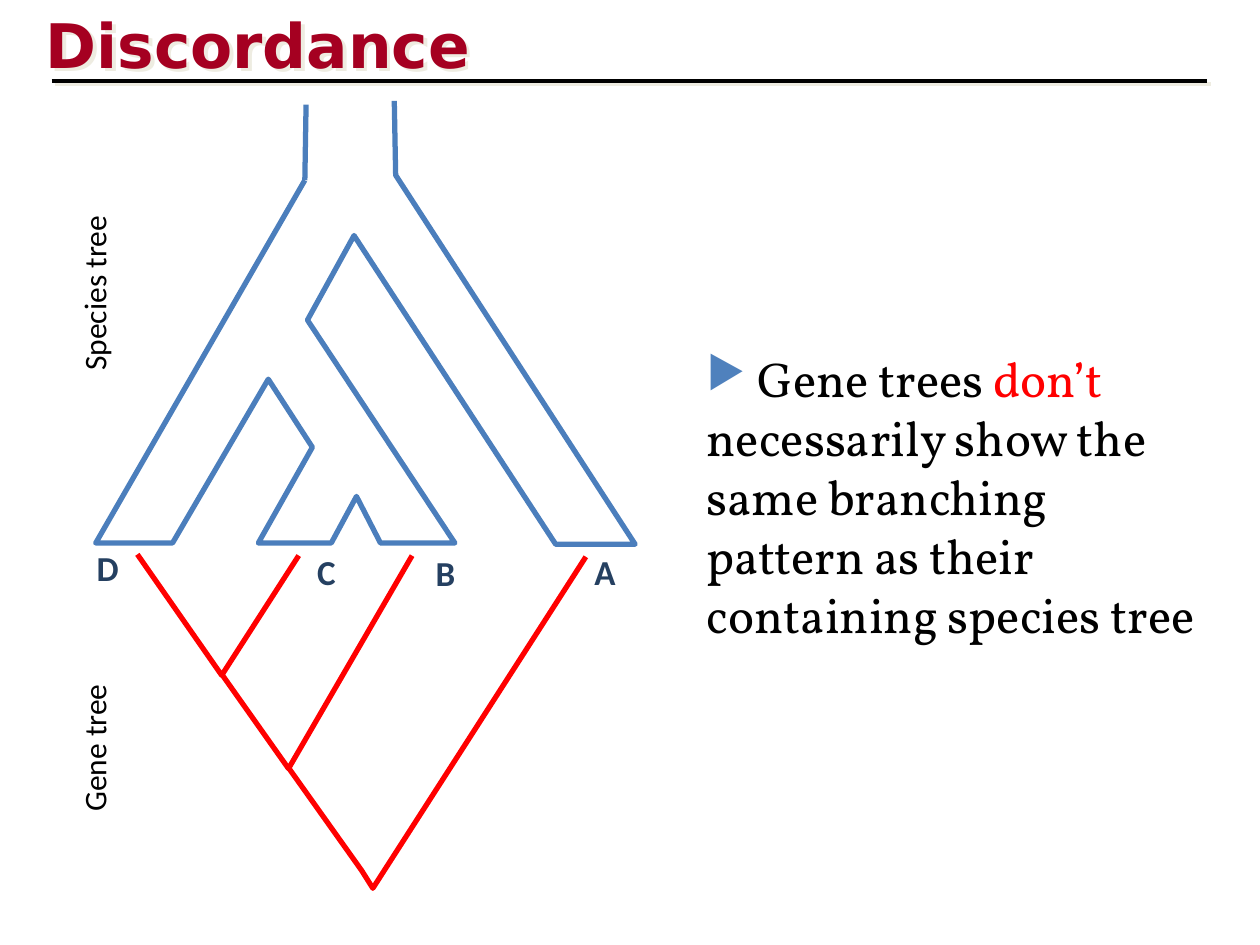
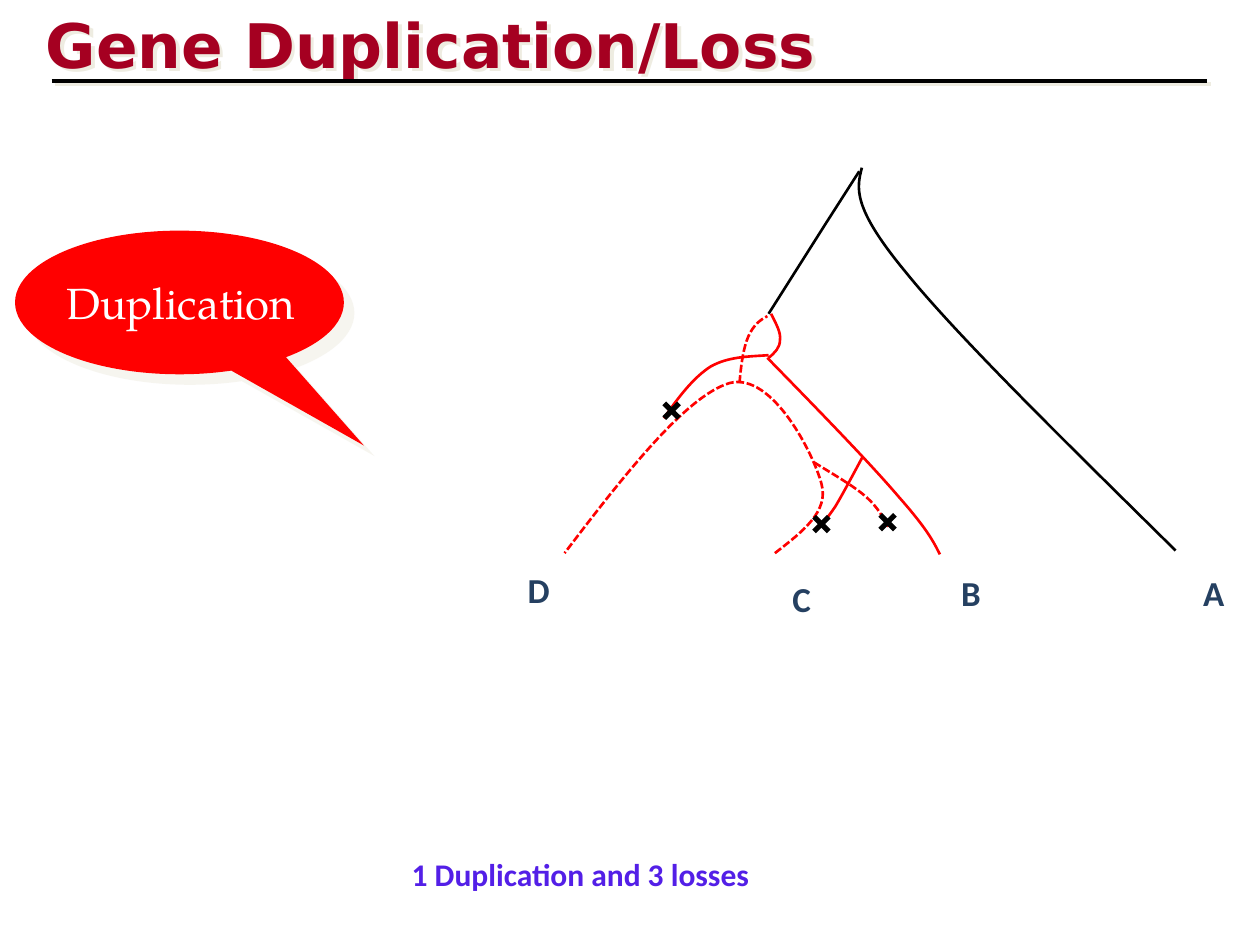
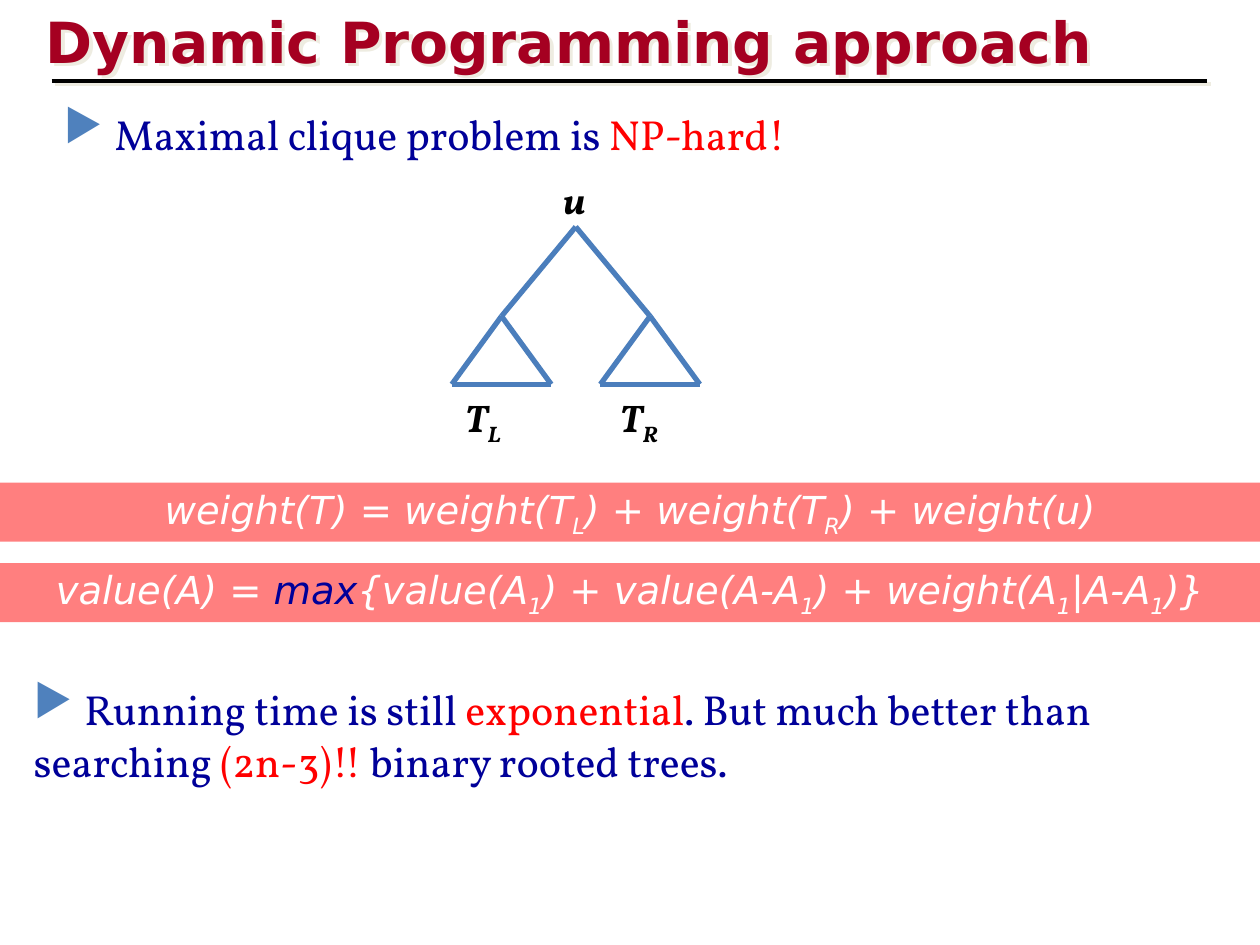
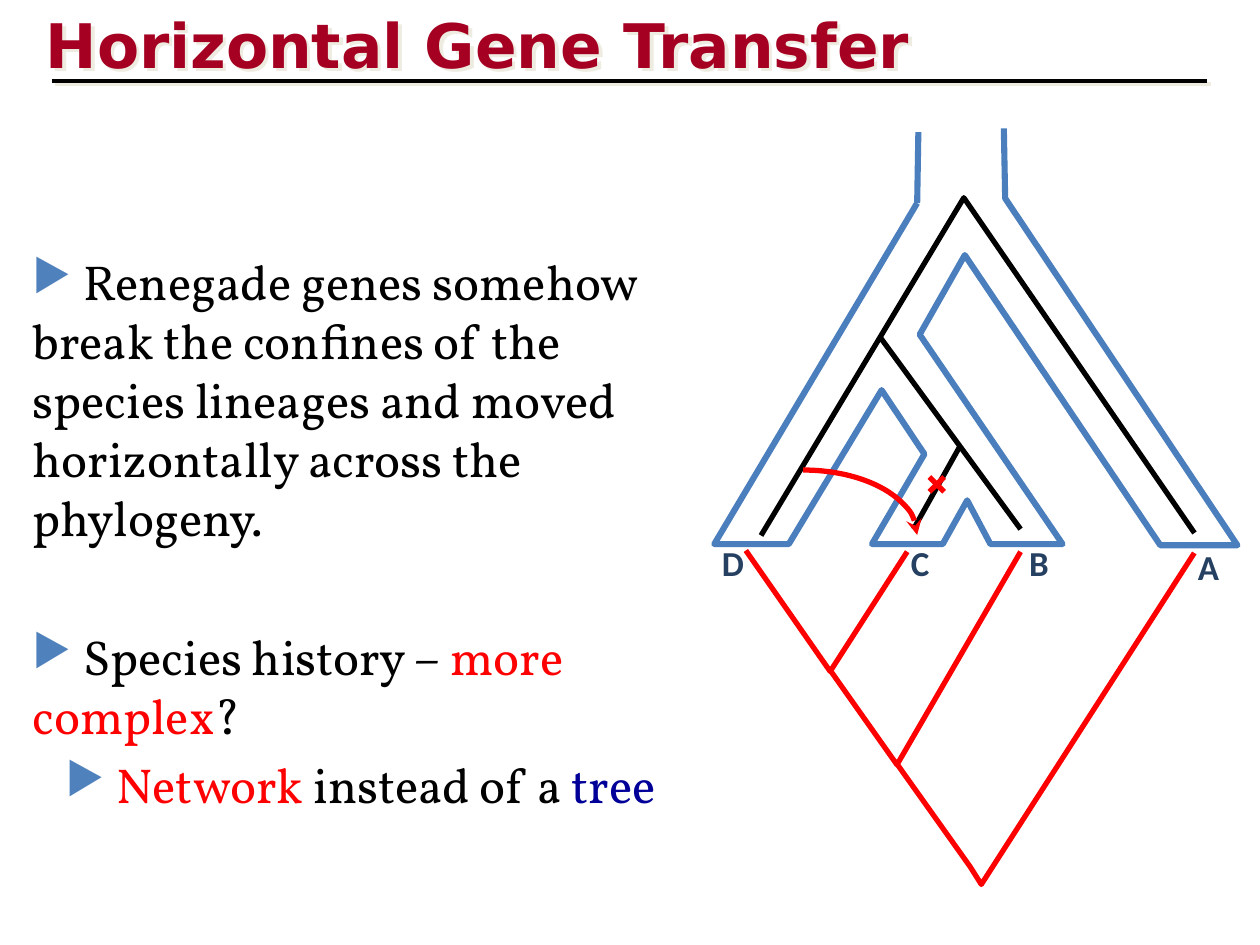
from lxml.etree import Element, SubElement
from pptx import Presentation
from pptx.dml.color import RGBColor as RGB
from pptx.enum.dml import MSO_LINE
from pptx.enum.shapes import MSO_CONNECTOR, MSO_SHAPE as Kind
from pptx.enum.text import MSO_ANCHOR, PP_ALIGN
from pptx.oxml.ns import qn
from pptx.util import Pt


class theme:
    black, white, red, navy = "000000", "FFFFFF", "FF0000", "000099"
    blue, mark, shade = "4B7EBC", "4F81BD", "EEECE1"
    title = dict(name="DejaVu Sans", size=Pt(35.1), bold=True, ink="A50021")
    body = dict(name="Vollkorn", size=Pt(28), ink=black)
    node = dict(name="Vollkorn", size=Pt(22), bold=True, italic=True, ink=black)
    math = dict(name="DejaVu Sans", size=Pt(22), italic=True, ink=white)
    leaf = dict(name="Calibri", size=Pt(20), bold=True, ink="254061")
    side = dict(name="Calibri", size=Pt(18), ink=black)
    note = dict(name="Calibri", size=Pt(18), bold=True, ink="531FE7")
    call = dict(name="TeX Gyre Pagella", size=Pt(25), ink=white)


# Run formats laid over a base style
plain, sub = {}, dict(drop="-25000")
red, navy = dict(ink=theme.red), dict(ink=theme.navy)
small = dict(size=Pt(24), ink=theme.navy)
alert = dict(size=Pt(24), ink=theme.red)


def text(page, box, paras, look, kind=None):
    """Text box, or preset shape with text; a paragraph is a list of (words, format)."""
    area = [Pt(v) for v in box]
    shape = page.shapes.add_shape(kind, *area) if kind else page.shapes.add_textbox(*area)
    shape.shadow.inherit = False
    frame = shape.text_frame
    frame.word_wrap = True
    for n, runs in enumerate(paras):
        par = frame.add_paragraph() if n else frame.paragraphs[0]
        for words, extra in runs:
            run = par.add_run()
            run.text = words
            for key, val in {**look, **extra}.items():
                if key == "ink":
                    run.font.color.rgb = RGB.from_string(val)
                elif key == "drop":
                    run._r.get_or_add_rPr().set("baseline", val)
                else:
                    setattr(run.font, key, val)
    return shape


def draw(page, pts, ink, wide, dash=None, curve=False):
    """Line through pts; a curve lists two control points before each next end."""
    pts = [(Pt(x), Pt(y)) for x, y in pts]
    if len(pts) == 2:
        shape = page.shapes.add_connector(MSO_CONNECTOR.STRAIGHT, *pts[0], *pts[1])
        SubElement(shape.element.spPr, qn("a:effectLst"))
    else:
        ends = pts[::3] if curve else pts
        pen = page.shapes.build_freeform(*ends[0])
        pen.add_line_segments(ends[1:], close=False)
        shape = pen.convert_to_shape()
        shape.shadow.inherit = False
        shape.fill.background()
    if curve:
        for n, seg in enumerate(list(shape.element.iter(qn("a:lnTo")))):
            seg.tag = qn("a:cubicBezTo")
            for spot, (x, y) in enumerate(pts[3 * n + 1:3 * n + 3]):
                seg.insert(spot, Element(qn("a:pt"), x=str(x - shape.left), y=str(y - shape.top)))
    shape.line.color.rgb = RGB.from_string(ink)
    shape.line.width = Pt(wide)
    if dash:
        shape.line.dash_style = dash
    return shape


deck = Presentation()
deck.slide_width, deck.slide_height = Pt(720), Pt(540)
lists = []  # boxes whose paragraphs get bullets
casts = []  # shape, shadow distance, opacity

# Titles and rules
pages = []
for name, size, wide in (
    ("Discordance", 35.1, 612),
    ("Gene Duplication/Loss", 35.1, 612),
    ("Dynamic Programming approach", 32.4, 635),
    ("Horizontal Gene Transfer", 35.1, 612),
):
    page = deck.slides.add_slide(deck.slide_layouts[6])
    head = text(page, (20.2, -2.2, wide, 48.2), [[(name, dict(size=Pt(size)))]], theme.title)
    head.text_frame.margin_left = head.text_frame.margin_top = Pt(6)
    rule = draw(page, [(29.5, 46.1), (689.8, 46.1)], theme.black, 2.25)
    casts += [(head, 2.8, 100), (rule, 2.8, 100)]
    pages.append(page)
clash, loss, clique, jump = pages

# Species tree above, gene tree below, on the first and last slides
outline = [
    (119.5, 45.4), (0, 252.7), (43.9, 252.7), (98.6, 159.1), (123.8, 198),
    (92.9, 252.7), (134.6, 252.7), (149, 226.1), (162.7, 252.7), (205.2, 252.7),
    (121, 125.3), (147.6, 77), (262.8, 253.4), (308.2, 253.4), (171.4, 42.5), (170.6, 0),
]
stem = [(119.5, 45.4), (120.2, 2.2)]
genes = [
    [(0, 0), (48.2, 69.1), (92.2, 0.7)],
    [(48.2, 68.4), (86.4, 122.4), (157, 0.7)],
    [(85.7, 121), (128.2, 180.7), (134.6, 190.8), (256.3, 1.4)],
]
for page, left, top, wide, high, pen, gx, gy in (
    (clash, 54.7, 57.6, 1, 1, 3, 78.5, 316.8),
    (jump, 408.2, 73.4, 0.97, 0.94, 3.5, 426.2, 314.6),
):
    for pts in (outline, stem):
        draw(page, [(left + wide * x, top + high * y) for x, y in pts], theme.blue, pen)
    for pts in genes:
        draw(page, [(gx + x, gy + y) for x, y in pts], theme.red, 3)

# Leaf names
for page, wide, spots in (
    (clash, 30, ((48.2, 308.9), (174.2, 311), (241.9, 311.8), (332.6, 311))),
    (loss, 24.5, ((294.5, 321.1), (445.7, 326.2), (542.2, 323.3), (680.4, 323.3))),
    (jump, 24.5, ((405.4, 306), (513.4, 306), (581, 306), (677.5, 308.2))),
):
    for leaf, (x, y) in zip("DCBA", spots):
        text(page, (x, y, wide, 31.7), [[(leaf, plain)]], theme.leaf)

# Slide 1: side labels and statement
for label, y in (("Species tree", 149.8), ("Gene tree", 401.8)):
    text(clash, (-1, y, 109.4, 28.8), [[(label, plain)]], theme.side).rotation = 270
lists.append(text(clash, (396.7, 195.8, 303.1, 216.7), [[
    (" Gene trees ", plain), ("don’t", red),
    (" necessarily show the same branching pattern as their containing species tree", plain),
]], theme.body))

# Slide 2: callout
bubble = loss.shapes.add_shape(Kind.OVAL_CALLOUT, Pt(8.6), Pt(131.8), Pt(187.9), Pt(82.1))
bubble.adjustments[0], bubble.adjustments[1] = 0.561, 0.996
bubble.shadow.inherit = False
bubble.fill.solid()
bubble.fill.fore_color.rgb = RGB.from_string(theme.red)
bubble.line.fill.background()
casts.append((bubble, 8.5, 50))
word = text(loss, (17.3, 154.1, 172.1, 31), [[("Duplication", plain)]], theme.call)
word.text_frame.paragraphs[0].alignment = PP_ALIGN.CENTER
text(loss, (228.2, 485.3, 213.8, 28.8), [[("1 Duplication and 3 losses", plain)]], theme.note)

# Slide 2: gene lineages, one copy solid and the other dashed
dots = MSO_LINE.SQUARE_DOT
draw(loss, [(439.2, 179.3), (471.6, 128.2), (491, 97.9)], theme.black, 1.5)
for ink, dash, pts in (
    (theme.black, None, [(671.8, 314.6), (609.1, 252.7), (546.5, 191.5), (517, 154.8),
                         (486.7, 118.1), (489.6, 107.3), (492.5, 95.8)]),
    (theme.red, dots, [(442.8, 316.1), (458.6, 303.8), (473.8, 292.3), (469.4, 276.5),
                       (465.1, 259.9), (441.4, 212.4), (416.9, 218.9),
                       (392.4, 226.1), (357.1, 270.7), (322.6, 316.1)]),
    (theme.red, dots, [(465.1, 264.2), (476.6, 271.4), (488.2, 277.9), (495.4, 284.4),
                       (501.8, 290.2), (504.7, 295.9), (507.6, 301)]),
    (theme.red, dots, [(422.6, 218.9), (423.4, 208.8), (424.8, 198.7), (427.7, 192.2),
                       (430.6, 185.8), (434.2, 182.9), (438.5, 180.7)]),
    (theme.red, None, [(439.2, 203), (427.7, 203.8), (416.2, 203.8), (406.1, 209.5),
                       (396, 216), (387.4, 227.5), (379.4, 239)]),
    (theme.red, None, [(438.5, 204.5), (468, 234.7), (497.5, 265), (513.4, 283.7),
                       (529.9, 302.4), (533.5, 309.6), (537.1, 316.8)]),
    (theme.red, None, [(439.2, 204.5), (442.8, 201.6), (445.7, 198.7), (445.7, 194.4),
                       (446.4, 190.1), (443.5, 185), (440.6, 179.3)]),
    (theme.red, None, [(493.2, 260.6), (487.4, 271.4), (481.7, 282.2), (477.4, 289.4),
                       (473, 295.9), (470.9, 298.1), (468.7, 300.2)]),
):
    draw(loss, pts, ink, 1.5, dash, curve=True)

# Slide 3: root with two subtrees
base, half = 219.6, 28.4
for x in (286.6, 371.5):
    draw(clique, [(329, 129.6), (x, 180.7)], theme.blue, 3)
    draw(clique, [(x - half, base), (x + half, base)], theme.blue, 3)
    for foot in (x - half, x + half):
        draw(clique, [(foot, base), (x, 180.7)], theme.blue, 3)
for x, y, wide, runs in (
    (314.6, 97.2, 36, [("u", plain)]),
    (258.5, 221.8, 49.3, [("T", plain), ("L", sub)]),
    (347, 221.8, 49.3, [("T", plain), ("R", sub)]),
):
    text(clique, (x, y, wide, 33.8), [runs], theme.node)

# Slide 3: formula bands
for y, runs in (
    (275.8, [("weight(T) = weight(T", plain), ("L", sub), (") + weight(T", plain),
             ("R", sub), (") + weight(u)", plain)]),
    (321.8, [("value(A) = ", plain), ("max", navy), ("{value(A", plain), ("1", sub),
             (") + value(A-A", plain), ("1", sub), (") + weight(A", plain), ("1", sub),
             ("|A-A", plain), ("1", sub), (")}", plain)]),
):
    band = text(clique, (0, y, 720, 33.8), [runs], theme.math, Kind.RECTANGLE)
    band.fill.solid()
    band.fill.fore_color.rgb = RGB.from_string(theme.red)
    tint = band.element.spPr.find(qn("a:solidFill"))[0]
    SubElement(tint, qn("a:alpha"), val="50000")
    band.line.fill.background()
    band.text_frame.vertical_anchor = MSO_ANCHOR.MIDDLE
    band.text_frame.paragraphs[0].alignment = PP_ALIGN.CENTER

# Slide 3: statements
lists.append(text(clique, (29.5, 54.7, 470.9, 41), [[
    (" ", plain), ("Maximal clique problem is ", small), ("NP-hard!", alert),
]], theme.body))
lists.append(text(clique, (12.2, 383, 669.6, 70.6), [[
    (" ", plain), ("Running time is still ", small), ("exponential", alert),
    (". But much better than searching ", small), ("(2n-3)!! ", alert),
    ("binary rooted trees.", small),
]], theme.body))

# Slide 4: gene lineages inside the species tree, and the transfer arrow
for pts in (
    [(682.6, 304.6), (550.8, 113), (434.9, 306)],
    [(502.6, 192.2), (583.2, 302.4)],
    [(548.6, 254.9), (522, 302.4)],
):
    draw(jump, pts, theme.black, 3)
arc = jump.shapes.add_shape(Kind.ARC, Pt(393.8), Pt(268.6), Pt(130.3), Pt(74.2))
arc.shadow.inherit = False
arc.fill.background()
arc.line.color.rgb = RGB.from_string(theme.red)
arc.line.width = Pt(3)
SubElement(arc.element.spPr.find(qn("a:ln")), qn("a:tailEnd"), type="stealth")

# Slide 4: statements
story = text(jump, (11.5, 140.4, 393.8, 337), [
    [(" Renegade genes somehow break the confines of the species lineages"
      " and moved horizontally across the phylogeny.", plain)],
    [(" Species history – ", plain), ("more complex", red), ("?", plain)],
    [(" ", plain), ("Network ", red), ("instead of a ", plain), ("tree", navy)],
], theme.body)
lists.append(story)

# Crosses on lost lineages
for page, x, y, ink in (
    (loss, 507.2, 298.4, theme.black),
    (loss, 383.8, 234.7, theme.black),
    (loss, 469.4, 299.5, theme.black),
    (jump, 535.3, 276.8, theme.red),
):
    for tilt in (4.2, -4.2):
        draw(page, [(x - 4.2, y - tilt), (x + 4.2, y + tilt)], ink, 3)

# Bullets
for box in lists:
    for par in box.text_frame.paragraphs:
        par.space_before = Pt(6)
        props = par._p.get_or_add_pPr()
        props.set("marL", "0")
        props.set("indent", "0")
        tone = SubElement(props, qn("a:buClr"))
        SubElement(tone, qn("a:srgbClr"), val=theme.mark)
        SubElement(props, qn("a:buSzPct"), val="90000")
        SubElement(props, qn("a:buChar"), char="▶")
first, second, third = story.text_frame.paragraphs
second.space_before = Pt(46)
third.level = 1
third._p.pPr.set("marL", str(Pt(19)))

# Shadows
for shape, dist, alpha in casts:
    group = shape.element.spPr.find(qn("a:effectLst"))
    cast = SubElement(group, qn("a:outerShdw"), dist=str(Pt(dist)), dir="2700000", algn="ctr", rotWithShape="0")
    tone = SubElement(cast, qn("a:srgbClr"), val=theme.shade)
    SubElement(tone, qn("a:alpha"), val=str(alpha * 1000))

deck.save("out.pptx")
